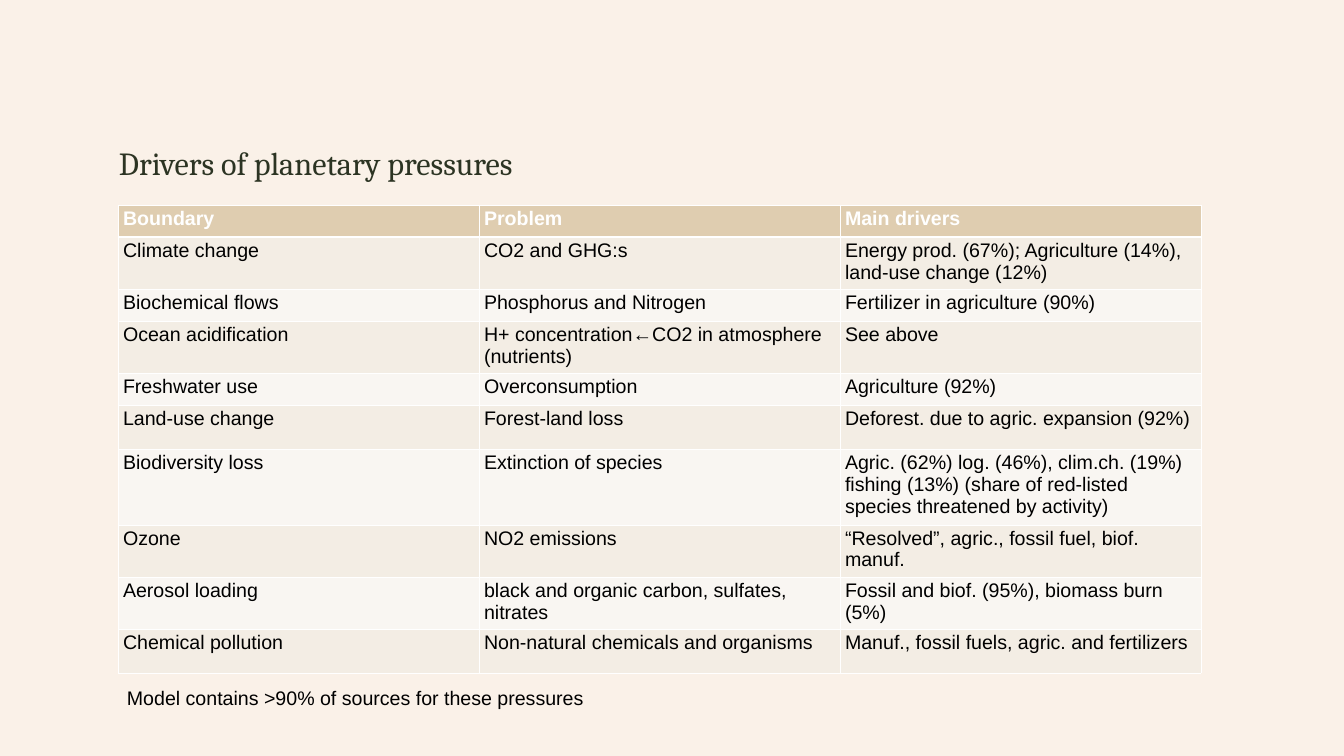
from dataclasses import dataclass

from lxml import etree
from pptx import Presentation
from pptx.dml.color import RGBColor
from pptx.enum.text import MSO_ANCHOR
from pptx.oxml.ns import qn
from pptx.util import Emu, Pt

TOP, BOTTOM = MSO_ANCHOR.TOP, MSO_ANCHOR.BOTTOM
BLANK_LAYOUT = 6
EMU_PER_PX = 914400 / 50.4

TITLE = "Drivers of planetary pressures"
HEADER = ("Boundary", "Problem", "Main drivers")
# Row height in px, then the cells
ROWS = [
    (44, "Climate change", "CO2 and GHG:s",
     "Energy prod. (67%); Agriculture (14%), land-use change (12%)"),
    (32, "Biochemical flows", "Phosphorus and Nitrogen", "Fertilizer in agriculture (90%)"),
    (44, "Ocean acidification", "H+ concentration←CO2 in atmosphere (nutrients)", "See above"),
    (32, "Freshwater use", "Overconsumption", "Agriculture (92%)"),
    (44, "Land-use change", "Forest-land loss", "Deforest. due to agric. expansion (92%)"),
    (72, "Biodiversity loss", "Extinction of species",
     "Agric. (62%) log. (46%), clim.ch. (19%) fishing (13%) "
     "(share of red-listed species threatened by activity)"),
    (44, "Ozone", "NO2 emissions", "“Resolved”, agric., fossil fuel, biof. manuf."),
    (44, "Aerosol loading", "black and organic carbon, sulfates, nitrates",
     "Fossil and biof. (95%), biomass burn (5%)"),
    (44, "Chemical pollution", "Non-natural chemicals and organisms",
     "Manuf., fossil fuels, agric. and fertilizers"),
]
NOTE = "Model contains >90% of sources for these pressures"

SLIDE_SIZE = (1344, 756)
TITLE_BOX = (119, 36, 1081, 146)
NOTE_BOX = (122, 683, 1073, 29)
TABLE_LEFT, TABLE_TOP = 118, 205
COLUMN_WIDTH, HEADER_HEIGHT = 361, 32


@dataclass(frozen=True)
class Theme:
    background: str = "FAF1E8"
    title: str = "2C3423"
    text: str = "000000"
    header_text: str = "FFFFFF"
    border: str = "FFFFFF"
    header_fill: str = "DFCDB0"
    bands: tuple = ("F3EDE4", "F9F6F2")
    title_font: str = "Cambria"
    body_font: str = "Arial"
    title_size: int = 46
    body_size: int = 28
    thin: int = 1
    thick: int = 3


THEME = Theme()


def px(value):
    return Emu(round(value * EMU_PER_PX))


def color(value):
    return RGBColor.from_string(value)


def write(frame, text, *, size=THEME.body_size, font=THEME.body_font,
          fill=THEME.text, bold=False):
    frame.word_wrap = True
    paragraph = frame.paragraphs[0]
    run = paragraph.add_run()
    run.text = text
    run.font.size = Pt(size)
    run.font.name = font
    run.font.bold = bold
    run.font.color.rgb = color(fill)


def add_text(slide, box, text, anchor=TOP, inset=None, **style):
    shape = slide.shapes.add_textbox(*map(px, box))
    frame = shape.text_frame
    frame.vertical_anchor = anchor
    if inset is not None:
        frame.margin_left = frame.margin_right = px(inset)
        frame.margin_top = frame.margin_bottom = px(inset)
    write(frame, text, **style)


def set_borders(cell, top, bottom):
    """Draw all four cell borders; top and bottom are widths in points."""
    properties = cell._tc.get_or_add_tcPr()
    widths = {"a:lnL": THEME.thin, "a:lnR": THEME.thin, "a:lnT": top, "a:lnB": bottom}
    for index, (tag, width) in enumerate(widths.items()):
        line = etree.Element(qn(tag), w=str(Pt(width)))
        fill = etree.SubElement(line, qn("a:solidFill"))
        etree.SubElement(fill, qn("a:srgbClr"), val=THEME.border)
        properties.insert(index, line)


def add_drivers_table(slide):
    rows = [(HEADER_HEIGHT, *HEADER), *ROWS]
    size = (COLUMN_WIDTH * len(HEADER), sum(row[0] for row in rows))
    table = slide.shapes.add_table(
        len(rows), len(HEADER), *map(px, (TABLE_LEFT, TABLE_TOP, *size))).table
    for column in table.columns:
        column.width = px(COLUMN_WIDTH)
    for row_index, (height, *texts) in enumerate(rows):
        table.rows[row_index].height = px(height)
        is_header = row_index == 0
        fill = THEME.header_fill if is_header else THEME.bands[(row_index - 1) % 2]
        for column_index, text in enumerate(texts):
            cell = table.cell(row_index, column_index)
            cell.fill.solid()
            cell.fill.fore_color.rgb = color(fill)
            set_borders(cell,
                        top=THEME.thick if row_index == 1 else THEME.thin,
                        bottom=THEME.thick if is_header else THEME.thin)
            write(cell.text_frame, text, bold=is_header,
                  fill=THEME.header_text if is_header else THEME.text)


def main():
    presentation = Presentation()
    presentation.slide_width, presentation.slide_height = map(px, SLIDE_SIZE)
    slide = presentation.slides.add_slide(presentation.slide_layouts[BLANK_LAYOUT])
    slide.background.fill.solid()
    slide.background.fill.fore_color.rgb = color(THEME.background)

    add_text(slide, TITLE_BOX, TITLE, anchor=BOTTOM, inset=0,
             size=THEME.title_size, font=THEME.title_font, fill=THEME.title)
    add_drivers_table(slide)
    add_text(slide, NOTE_BOX, NOTE)
    presentation.save("out.pptx")


if __name__ == "__main__":
    main()
